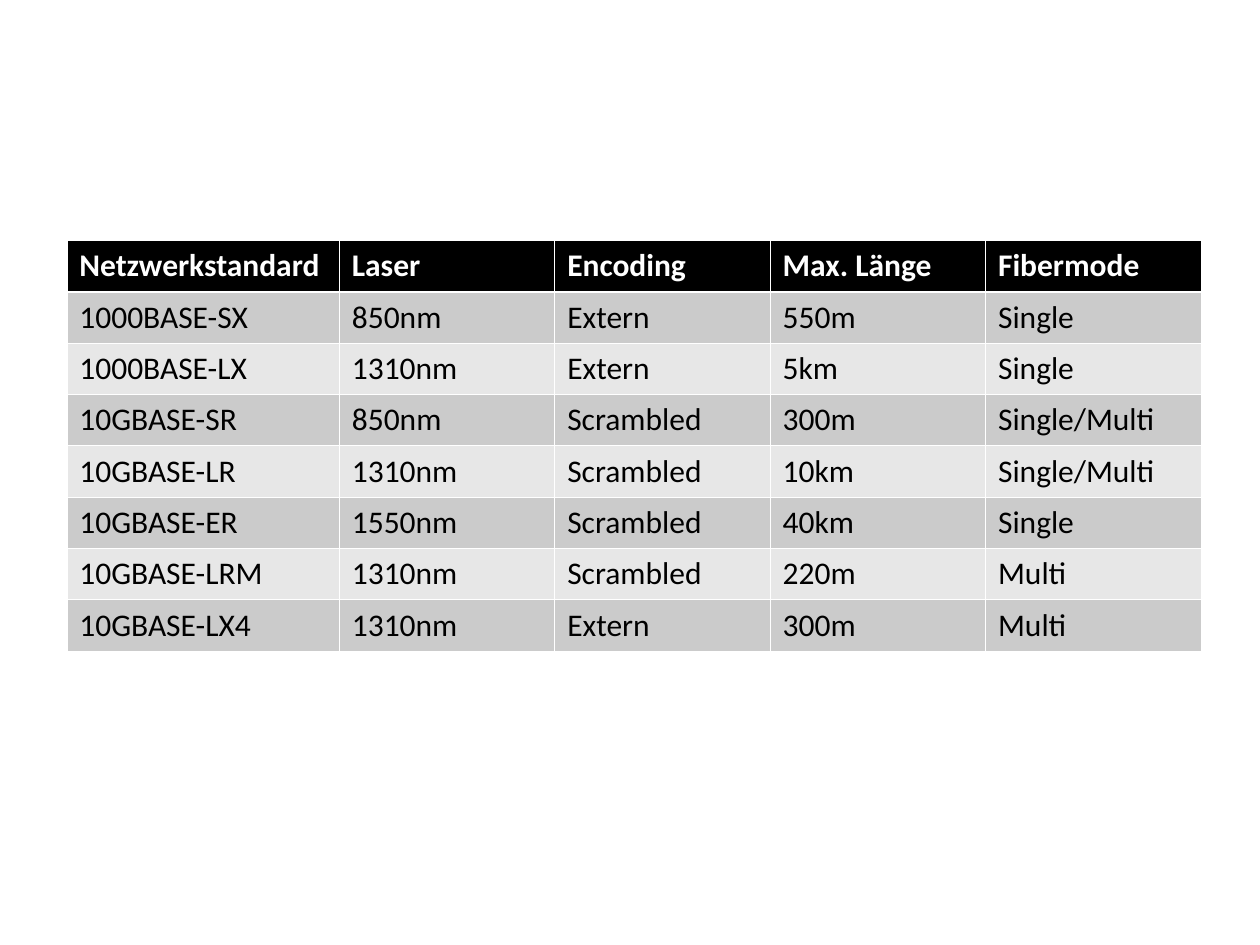
"""Build a slide with a table comparing fibre network standards."""
from dataclasses import dataclass

from lxml.etree import SubElement
from pptx import Presentation
from pptx.dml.color import RGBColor as Color
from pptx.oxml.ns import qn
from pptx.util import Pt


@dataclass(frozen=True)
class Theme:
    font: str = "Calibri"
    text_size: float = 18
    header_text: str = "FFFFFF"
    body_text: str = "000000"
    header_fill: str = "000000"
    band_fills: tuple = ("CBCBCB", "E7E7E7")
    border: str = "FFFFFF"
    thin_border: float = 0.45
    header_border: float = 1.47


THEME = Theme()
LEFT, TOP = 38.2, 137.4
COLUMN_WIDTHS = [155.7] + [123.1] * 4
ROW_HEIGHT = 29.36
STANDARDS = [
    ("Netzwerkstandard", "Laser", "Encoding", "Max. Länge", "Fibermode"),
    ("1000BASE-SX", "850nm", "Extern", "550m", "Single"),
    ("1000BASE-LX", "1310nm", "Extern", "5km", "Single"),
    ("10GBASE-SR", "850nm", "Scrambled", "300m", "Single/Multi"),
    ("10GBASE-LR", "1310nm", "Scrambled", "10km", "Single/Multi"),
    ("10GBASE-ER", "1550nm", "Scrambled", "40km", "Single"),
    ("10GBASE-LRM", "1310nm", "Scrambled", "220m", "Multi"),
    ("10GBASE-LX4", "1310nm", "Extern", "300m", "Multi"),
]


def set_borders(cell, row_index):
    """Outline a cell, with a heavier rule between header and body."""
    heavy_sides = {0: "lnB", 1: "lnT"}
    properties = cell._tc.get_or_add_tcPr()
    for side in ("lnL", "lnR", "lnT", "lnB"):
        heavy = heavy_sides.get(row_index) == side
        width = THEME.header_border if heavy else THEME.thin_border
        line = SubElement(properties, qn(f"a:{side}"), w=str(Pt(width)))
        fill = SubElement(line, qn("a:solidFill"))
        SubElement(fill, qn("a:srgbClr"), val=THEME.border)


def fill_cell(cell, text, row_index):
    """Write and style one cell according to its row."""
    header = row_index == 0
    set_borders(cell, row_index)
    fill = THEME.header_fill if header else THEME.band_fills[(row_index - 1) % 2]
    cell.fill.solid()
    cell.fill.fore_color.rgb = Color.from_string(fill)
    cell.margin_left = cell.margin_right = Pt(7.2)
    cell.margin_top = cell.margin_bottom = Pt(3.6)
    paragraph = cell.text_frame.paragraphs[0]
    paragraph.text = text
    font = paragraph.runs[0].font
    font.name, font.size, font.bold = THEME.font, Pt(THEME.text_size), header
    color = THEME.header_text if header else THEME.body_text
    font.color.rgb = Color.from_string(color)


def add_standards_table(slide):
    """Add the table of network standards."""
    row_count = len(STANDARDS)
    shape = slide.shapes.add_table(
        row_count, len(COLUMN_WIDTHS), Pt(LEFT), Pt(TOP),
        Pt(sum(COLUMN_WIDTHS)), Pt(ROW_HEIGHT * row_count))
    table = shape.table
    for column, width in zip(table.columns, COLUMN_WIDTHS):
        column.width = Pt(width)
    for row_index, (row, values) in enumerate(zip(table.rows, STANDARDS)):
        row.height = Pt(ROW_HEIGHT)
        for cell, text in zip(row.cells, values):
            fill_cell(cell, text, row_index)


def main():
    """Create and save the presentation."""
    presentation = Presentation()
    presentation.slide_width, presentation.slide_height = Pt(720), Pt(540)
    slide = presentation.slides.add_slide(presentation.slide_layouts[6])
    add_standards_table(slide)
    presentation.save("out.pptx")


if __name__ == "__main__":
    main()
